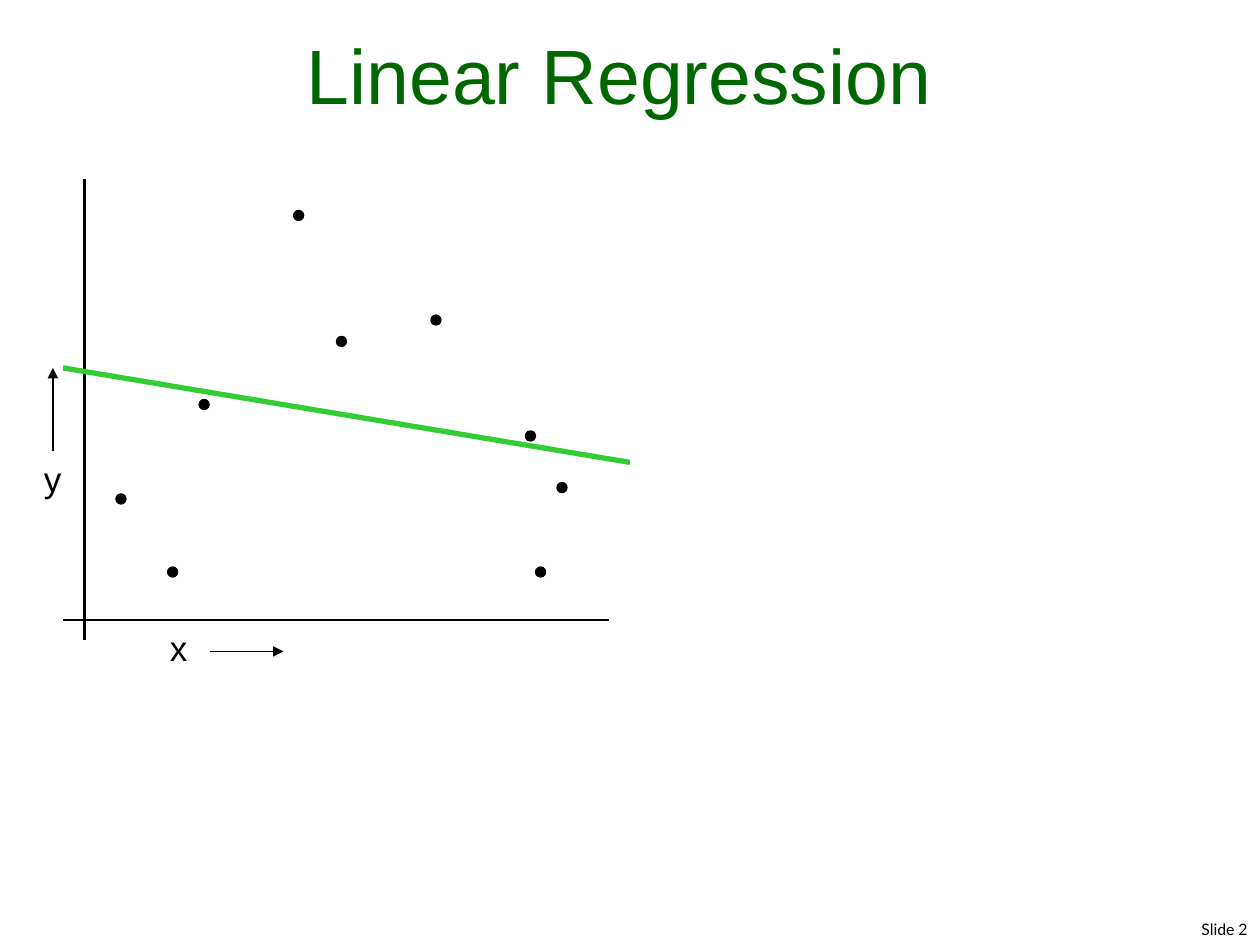
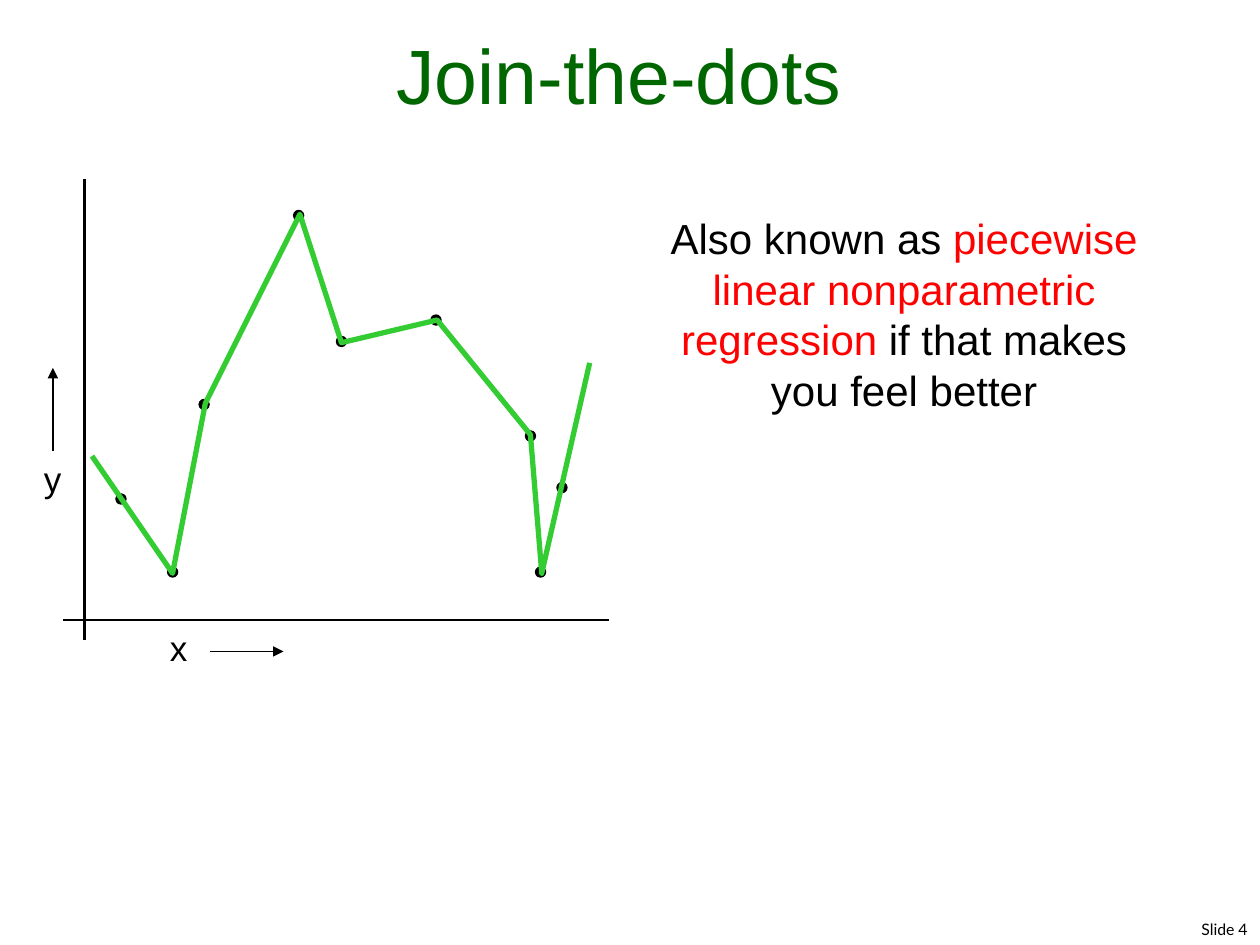
from lxml import etree
from pptx import Presentation
from pptx import util as u
from pptx.dml.color import RGBColor
from pptx.enum import shapes, text
from pptx.oxml.ns import qn

BLACK = RGBColor(0x00, 0x00, 0x00)
TITLE_GREEN = RGBColor(0x00, 0x66, 0x00)
FIT_GREEN = RGBColor(0x33, 0xCC, 0x33)
RED = RGBColor(0xFF, 0x00, 0x00)

# Top left corners of the data points, in inches
DOT = 0.08
POINTS = [(0.92, 3.92), (1.33, 4.5), (1.58, 3.17), (2.33, 1.67), (2.67, 2.67),
          (3.42, 2.5), (4.25, 4.5), (4.42, 3.83), (4.17, 3.42)]
# The path runs on past the first and last points
JOINED = [(0.73, 3.62), (1.37, 4.55), (1.63, 3.2), (2.38, 1.7), (2.71, 2.72),
          (3.47, 2.54), (4.21, 3.45), (4.3, 4.55), (4.68, 2.88)]


def inches(*values):
    return [u.Inches(v) for v in values]


def style_run(r, size, color=BLACK, font="Arial"):
    r.font.size = u.Pt(size)
    r.font.name = font
    r.font.color.rgb = color


def add_text(parent, box, runs, size, align=text.PP_ALIGN.LEFT, font="Arial"):
    """Add a text box; runs is a list of (words, colour)."""
    sp = parent.add_textbox(*inches(*box))
    tf = sp.text_frame
    tf.word_wrap = True
    p = tf.paragraphs[0]
    p.alignment = align
    for words, color in runs:
        r = p.add_run()
        r.text = words
        style_run(r, size, color, font)


def add_line(parent, start, end, width, color=BLACK, arrow=False):
    line = parent.add_connector(shapes.MSO_CONNECTOR.STRAIGHT,
                                *inches(*start, *end))
    line.line.color.rgb = color
    line.line.width = u.Pt(width)
    if arrow:
        ln = line.line._get_or_add_ln()
        etree.SubElement(ln, qn("a:tailEnd"), type="triangle")
    etree.SubElement(line._element.spPr, qn("a:effectLst"))


def add_dot(parent, x, y):
    sp = parent.add_shape(shapes.MSO_SHAPE.OVAL, *inches(x, y, DOT, DOT))
    sp.shadow.inherit = False
    sp.fill.solid()
    sp.fill.fore_color.rgb = BLACK
    sp.line.color.rgb = BLACK
    sp.line.width = u.Pt(0.75)


def add_path(parent, points):
    start, *rest = [inches(*point) for point in points]
    builder = parent.build_freeform(*start)
    builder.add_line_segments(rest, close=False)
    sp = builder.convert_to_shape()
    sp.shadow.inherit = False
    sp.fill.background()
    sp.line.color.rgb = FIT_GREEN
    sp.line.width = u.Pt(3)


def add_scatter(s):
    """Draw axes, points and axis labels; return the group's shapes."""
    plot = s.shapes.add_group_shape().shapes
    add_line(plot, (0.67, 1.42), (0.67, 5.08), 1.5)
    add_line(plot, (0.5, 4.92), (4.83, 4.92), 1.5)
    for x, y in POINTS:
        add_dot(plot, x, y)
    add_text(plot, (1.25, 4.92, 0.33, 0.44), [("x", BLACK)], 20)
    add_line(plot, (1.67, 5.17), (2.25, 5.17), 0.75, arrow=True)
    add_text(plot, (0.25, 3.58, 0.33, 0.44), [("y", BLACK)], 20)
    add_line(plot, (0.42, 3.58), (0.42, 2.92), 0.75, arrow=True)
    return plot


def add_slide(prs, title, number):
    """Add a slide with its title and slide number."""
    s = prs.slides.add_slide(prs.slide_layouts[5])
    sp = s.shapes.title
    sp.left, sp.top, sp.width, sp.height = inches(0.25, 0.17, 9.33, 0.83)
    tf = sp.text_frame
    tf.text = title
    tf.auto_size = text.MSO_AUTO_SIZE.NONE
    tf.vertical_anchor = text.MSO_ANCHOR.BOTTOM
    p = tf.paragraphs[0]
    p.alignment = text.PP_ALIGN.CENTER
    style_run(p.runs[0], 44, TITLE_GREEN)
    add_text(s.shapes, (6.08, 7.25, 3.92, 0.27), [(f"Slide {number}", BLACK)],
             9, text.PP_ALIGN.RIGHT, "Lato")
    return s


def main():
    prs = Presentation()
    prs.slide_width, prs.slide_height = inches(10, 7.5)

    # Straight line fit
    s = add_slide(prs, "Linear Regression", 2)
    plot = add_scatter(s)
    add_line(plot, (0.5, 2.92), (5, 3.67), 3, FIT_GREEN)

    # Path through every point
    s = add_slide(prs, "Join-the-dots", 4)
    plot = add_scatter(s)
    add_path(plot, JOINED)
    add_text(s.shapes, (5.03, 1.64, 4.29, 1.7),
             [("Also known as ", BLACK),
              ("piecewise linear nonparametric regression", RED),
              (" if that makes you feel better", BLACK)],
             24, text.PP_ALIGN.CENTER)

    prs.save("out.pptx")


if __name__ == "__main__":
    main()
